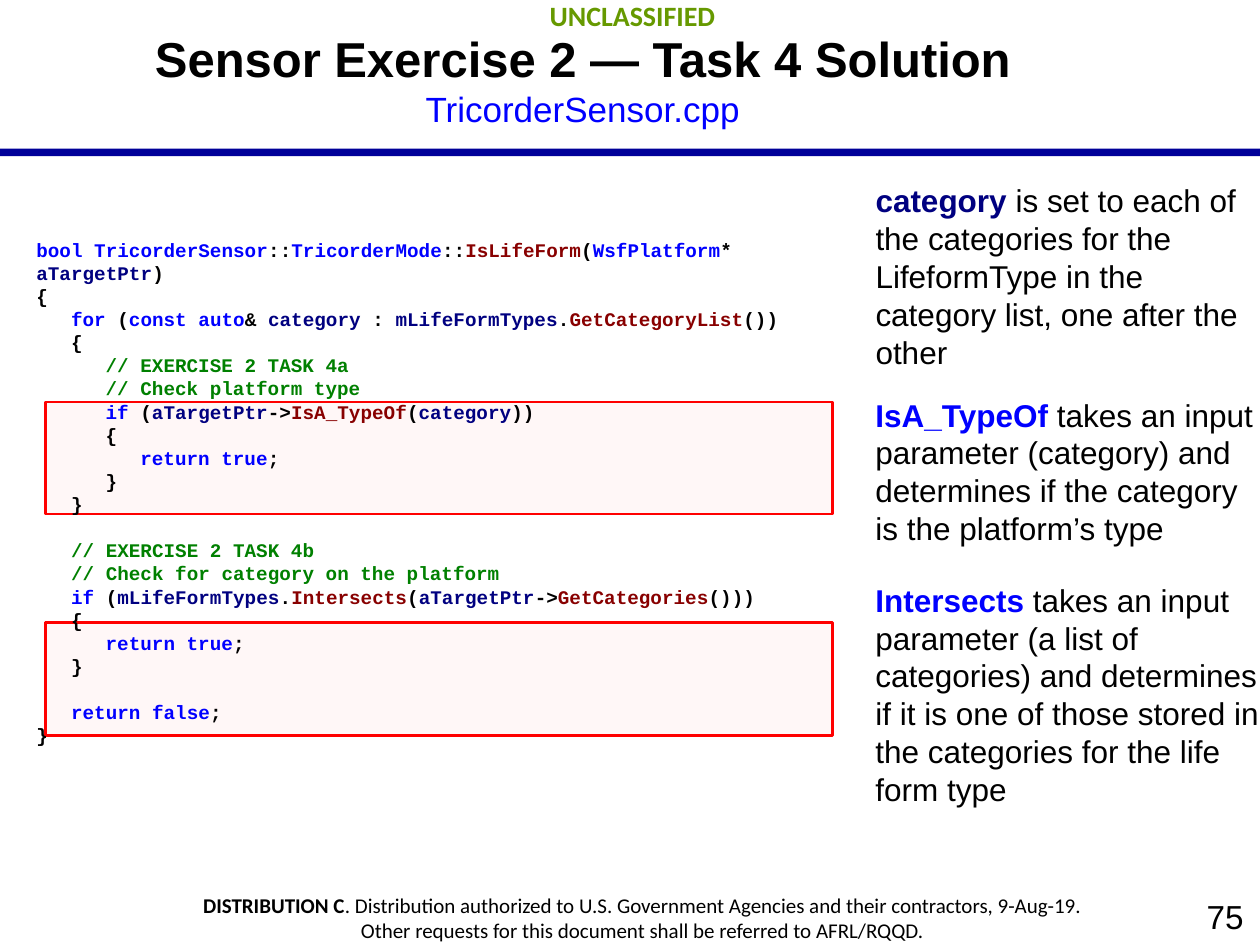
import pptx
import pptx.dml.color
import pptx.enum.shapes
import pptx.enum.text
import pptx.oxml.ns
import pptx.util
from lxml import etree

Inches, Pt = pptx.util.Inches, pptx.util.Pt
ALIGN = pptx.enum.text.PP_ALIGN
ANCHOR = pptx.enum.text.MSO_ANCHOR

THEME = {
    "color": {
        "text": "000000", "key": "0000FF", "name": "000080",
        "call": "880000", "note": "008000", "bar": "000099",
        "mark": "669900", "box_fill": "FFF0F0", "box_line": "FF0000",
    },
    "size": {"title": 28, "subtitle": 20, "page": 19, "side": 18,
             "mark": 16, "footer": 12, "code": 11},
    "sans": "Arial", "label": "Calibri", "mono": "Courier New",
    "pitch": 13.2, "indent": 19.8,
}
SIZE = THEME["size"]

TITLE = [[("Sensor Exercise 2 — Task 4 Solution", "text", True, SIZE["title"])],
         [("TricorderSensor.cpp", "key", False, SIZE["subtitle"])]]
MARKING = [[("UNCLASSIFIED", "mark", True)]]
FOOTER = [
    [("DISTRIBUTION C", "text", True),
     (". Distribution authorized to U.S. Government Agencies and their contractors, 9-Aug-19.",)],
    [("Other requests for this document shall be referred to AFRL/RQQD.",)],
]
PAGE = [[("75",)]]

CODE = [
    (0, [("bool TricorderSensor", "key"), ("::",), ("TricorderMode", "key"), ("::",),
         ("IsLifeForm", "call"), ("(",), ("WsfPlatform", "key"), ("* ",),
         ("aTargetPtr", "name"), (")",)]),
    (0, [("{",)]),
    (1, [("for", "key"), (" (",), ("const auto", "key"), ("& ",), ("category", "name"),
         (" : ",), ("mLifeFormTypes", "name"), (".",), ("GetCategoryList", "call"), ("())",)]),
    (1, [("{",)]),
    (2, [("// EXERCISE 2 TASK 4a", "note")]),
    (2, [("// Check platform type", "note")]),
    (2, [("if", "key"), (" (",), ("aTargetPtr", "name"), ("->",), ("IsA_TypeOf", "call"),
         ("(",), ("category", "name"), ("))",)]),
    (2, [("{",)]),
    (3, [("return true", "key"), (";",)]),
    (2, [("}",)]),
    (1, [("}",)]),
    (1, [("// EXERCISE 2 TASK 4b", "note")]),
    (1, [("// Check for category on the platform", "note")]),
    (1, [("if", "key"), (" (",), ("mLifeFormTypes", "name"), (".",), ("Intersects", "call"),
         ("(",), ("aTargetPtr", "name"), ("->",), ("GetCategories", "call"), ("()))",)]),
    (1, [("{",)]),
    (2, [("return true", "key"), (";",)]),
    (1, [("}",)]),
    (1, [("return false", "key"), (";",)]),
    (0, [("}",)]),
]
GAP_BEFORE = {11, 17}

SIDE_NOTES = [
    (1.39, 3.18, 1.62, "category", "name",
     [" is set to each of", "the categories for the", "LifeformType in the",
      "category list, one after the", "other"]),
    (3.09, 3.3, 1.31, "IsA_TypeOf", "key",
     [" takes an input", "parameter (category) and", "determines if the category",
      "is the platform’s type"]),
    (4.56, 3.34, 1.92, "Intersects", "key",
     [" takes an input", "parameter (a list of", "categories) and determines",
      "if it is one of those stored in", "the categories for the life", "form type"]),
]
BARS = [1.18, 1.19]
HIGHLIGHTS = [(4.94, 0.9), (3.19, 0.89)]


def rgb(name):
    return pptx.dml.color.RGBColor.from_string(THEME["color"][name])


def add_text(s, at, paragraphs, size, font=THEME["sans"], align=ALIGN.LEFT,
             anchor=ANCHOR.TOP, inset=(0.13, 0.07), wrap=True, bold=False):
    tf = s.shapes.add_textbox(*map(Inches, at)).text_frame
    tf.word_wrap = wrap
    tf.vertical_anchor = anchor
    tf.margin_left = tf.margin_right = Inches(inset[0])
    tf.margin_top = tf.margin_bottom = Inches(inset[1])
    for i, runs in enumerate(paragraphs):
        p = tf.paragraphs[0] if i == 0 else tf.add_paragraph()
        p.alignment = align
        for text, *style in runs:
            defaults = ("text", bold, size)
            color, strong, points = (*style, *defaults[len(style):])
            r = p.add_run()
            r.text = text
            r.font.name, r.font.size, r.font.bold = font, Pt(points), strong
            r.font.color.rgb = rgb(color)
    return tf


def add_rect(s, at, fill, line=None, opacity=100):
    sp = s.shapes.add_shape(pptx.enum.shapes.MSO_SHAPE.RECTANGLE, *map(Inches, at))
    sp.shadow.inherit = False
    sp.fill.solid()
    sp.fill.fore_color.rgb = rgb(fill)
    if line:
        sp.line.color.rgb = rgb(line)
        sp.line.width = Pt(1.5)
    else:
        sp.line.fill.background()
    if opacity < 100:
        qn = pptx.oxml.ns.qn
        color = sp.fill._xPr.find(qn("a:solidFill")).find(qn("a:srgbClr"))
        etree.SubElement(color, qn("a:alpha")).set("val", str(opacity * 1000))


def add_code(s):
    tf = add_text(s, (0.19, 1.84, 6.42, 5.06), [runs for level, runs in CODE],
                  SIZE["code"], font=THEME["mono"], inset=(0.1, 0.05), bold=True)
    for i, (p, (level, runs)) in enumerate(zip(tf.paragraphs, CODE)):
        p.line_spacing = Pt(THEME["pitch"])
        p.space_before = Pt(THEME["pitch"] if i in GAP_BEFORE else 0)
        p._p.get_or_add_pPr().set("marL", str(Pt(THEME["indent"] * level)))


def main():
    prs = pptx.Presentation()
    prs.slide_width, prs.slide_height = Inches(10), Inches(7.5)
    s = prs.slides.add_slide(prs.slide_layouts[6])
    for top in BARS:
        add_rect(s, (0, top, 10, 0.05), "bar")
    add_text(s, (8, 7.05, 2, 0.45), PAGE, SIZE["page"], align=ALIGN.RIGHT,
             anchor=ANCHOR.MIDDLE)
    add_text(s, (0.02, -0.08, 10, 0.4), MARKING, SIZE["mark"], font=THEME["label"],
             align=ALIGN.CENTER)
    add_text(s, (0.09, 7.01, 10.02, 0.54), FOOTER, SIZE["footer"], font=THEME["label"],
             align=ALIGN.CENTER)
    for top, height in HIGHLIGHTS:
        add_rect(s, (0.36, top, 6.25, height), "box_fill", line="box_line", opacity=50)
    add_text(s, (1, 0, 7.25, 1.25), TITLE, SIZE["title"], align=ALIGN.CENTER,
             anchor=ANCHOR.MIDDLE)
    add_code(s)
    for top, width, height, term, color, (first, *rest) in SIDE_NOTES:
        lines = [[(term, color, True), (first,)]] + [[(line,)] for line in rest]
        add_text(s, (6.85, top, width, height), lines, SIZE["side"],
                 inset=(0.1, 0.05), wrap=False)
    prs.save("out.pptx")


if __name__ == "__main__":
    main()
